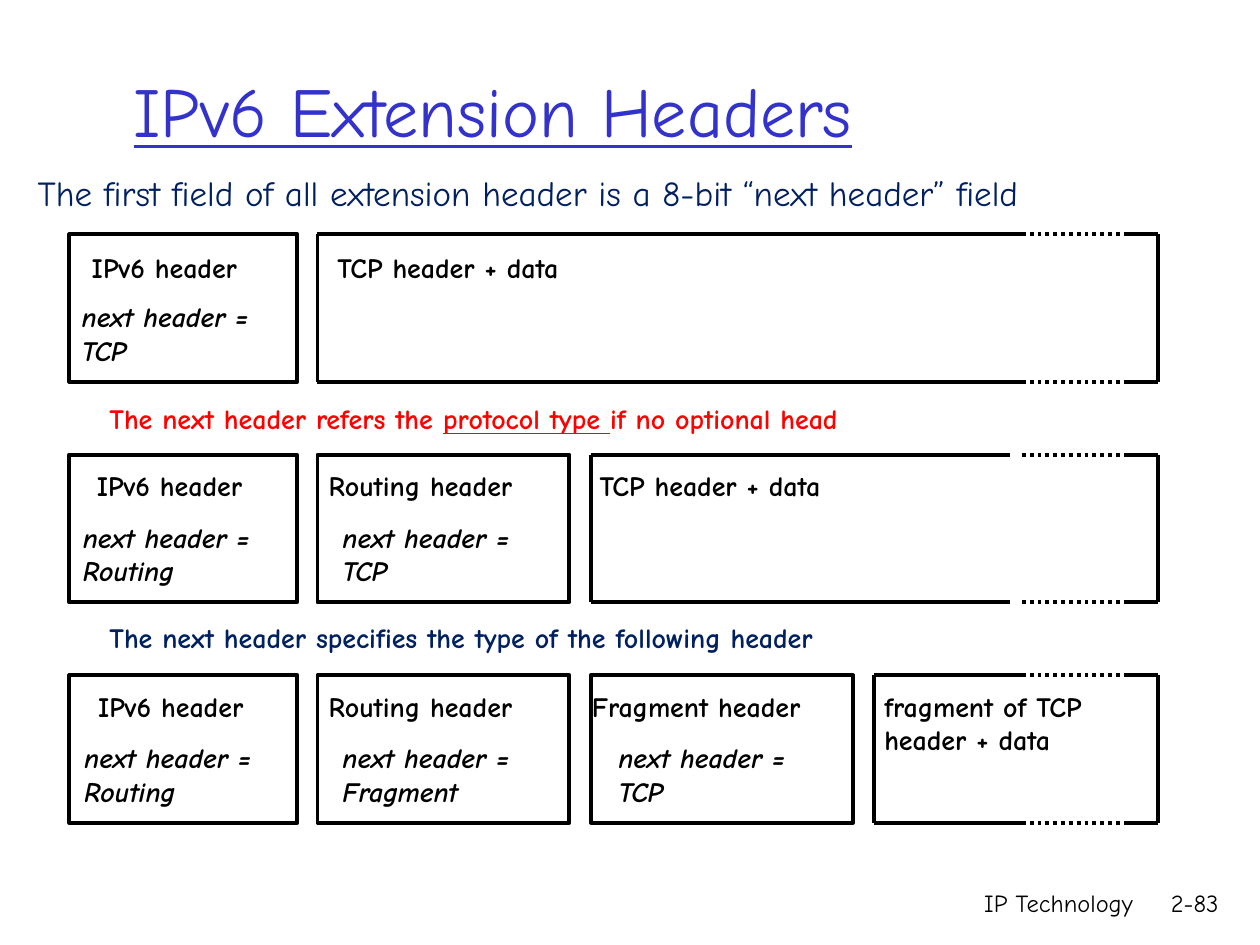
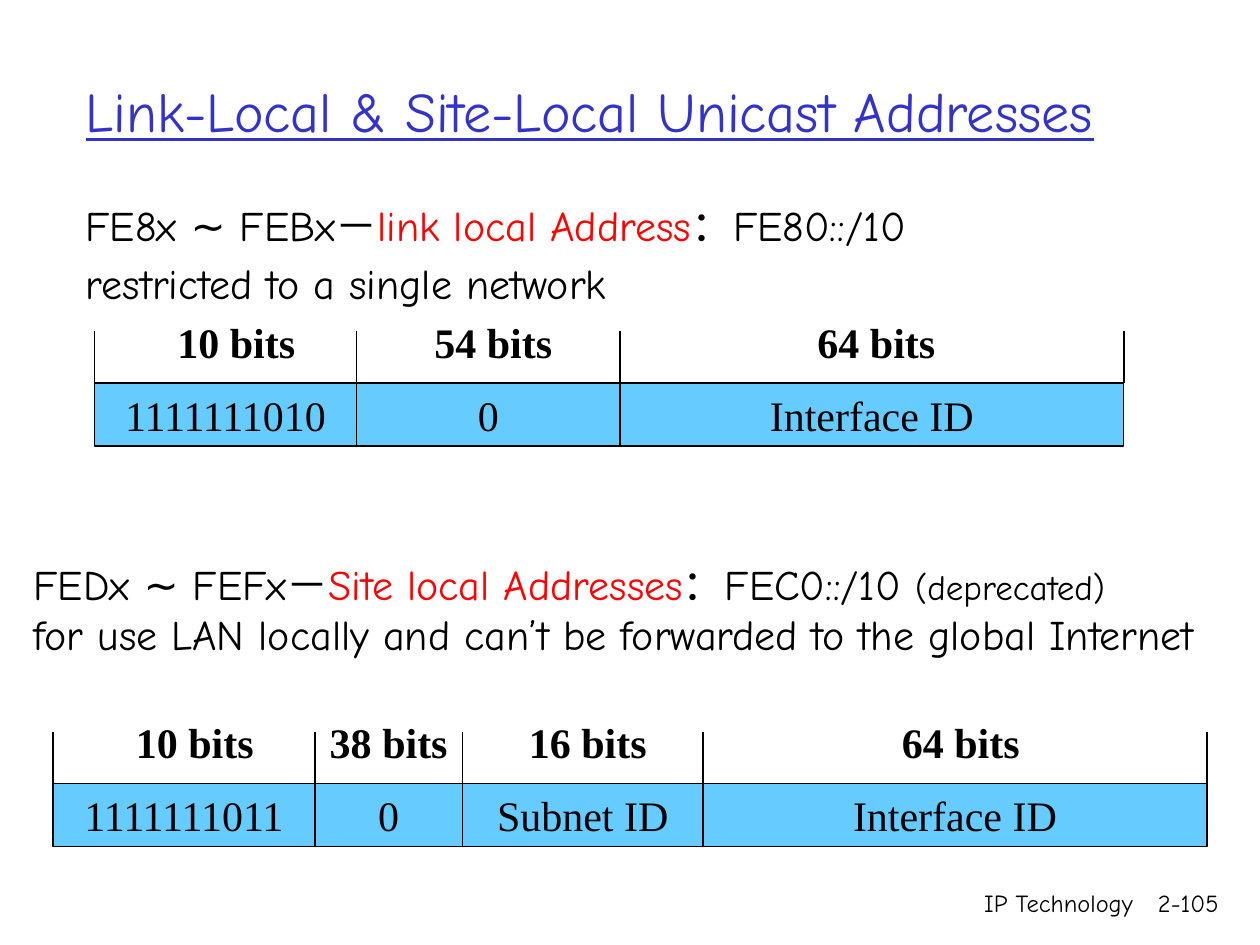
from itertools import accumulate

from lxml.etree import SubElement
from pptx import Presentation
from pptx.dml.color import RGBColor
from pptx.enum.dml import MSO_LINE
from pptx.enum.shapes import MSO_CONNECTOR, MSO_SHAPE
from pptx.enum.text import MSO_ANCHOR, MSO_AUTO_SIZE, PP_ALIGN
from pptx.oxml.ns import qn
from pptx.util import Inches, Pt

BLACK, RED, NAVY, TITLE_BLUE, FIELD_BLUE = "000000", "FF0000", "002060", "3333CC", "66CCFF"
COMIC = dict(name="Comic Neue", color=BLACK)
TIMES = dict(name="Times New Roman", size=24, color=BLACK)
TITLE = COMIC | dict(color=TITLE_BLUE, underline=True)
FOOTER = COMIC | dict(size=14)
LABEL = COMIC | dict(size=16, bold=True)
NEXT = LABEL | dict(italic=True)
ADDRESS = COMIC | dict(size=24)

EXT_TITLE = "IPv6 Extension Headers"
EXT_INTRO = "The first field of all extension header is a 8-bit “next header” field"
NOTES = [
    (3.14, RED, [("The next header refers the ", {}),
                 ("protocol type ", dict(underline=True)),
                 ("if no optional head", {})]),
    (4.88, NAVY, [("The next header specifies the type of the following header", {})]),
]
# Header columns: left, width
COLUMNS = [(0.55, 1.81), (2.52, 2.0), (4.69, 2.08)]
# Headers: name, name left, name width, next header, next header left
# Payload: text lines, text left, text width, box left, end of first solid part
PACKETS = [
    dict(top=1.86, label_dy=0.08,
         headers=[("IPv6 header", 0.63, 1.53, "TCP", 0.55)],
         payload=(["TCP header + data"], 2.58, 2.28, 2.52, 8.11)),
    dict(top=3.61, label_dy=0.06,
         headers=[("IPv6 header", 0.67, 1.53, "Routing", 0.56),
                  ("Routing header", 2.51, 1.83, "TCP", 2.62)],
         payload=(["TCP header + data"], 4.66, 2.28, 4.69, 8.02)),
    dict(top=5.36, label_dy=0.06,
         headers=[("IPv6 header", 0.68, 1.53, "Routing", 0.57),
                  ("Routing header", 2.51, 1.83, "Fragment", 2.62),
                  ("Fragment header", 4.6, 2.06, "TCP", 4.81)],
         payload=(["fragment of TCP", "header + data"], 6.92, 2.03, 6.94, 8.11)),
]
BOX_H, DOTS_FROM, DOTS_TO, PAYLOAD_END = 1.17, 8.11, 8.94, 9.19

LOCAL_TITLE = "Link-Local & Site-Local Unicast Addresses"
LINK_LOCAL = [
    [("FE8x ∼ FEBx－", {}), ("link local Address", dict(color=RED)), ("：FE80::/10", {})],
    [("restricted to a single network", {})],
]
SITE_LOCAL = [
    [("FEDx ∼ FEFx－", {}), ("Site local Addresses", dict(color=RED)),
     ("：FEC0::/10 ", {}), ("(deprecated)", dict(size=20))],
    [("for use LAN locally and can’t be forwarded to the global Internet", {})],
]
# Fields: bits, value, field width, bits left, bits width
ADDRESS_FORMATS = [
    dict(left=0.75, top=3.04, fields=[
        ("10 bits", "1111111010", 2.08, 1.25, 1.25),
        ("54 bits", "0", 2.09, 3.33, 1.17),
        ("64 bits", "Interface ID", 4.0, 6.08, 1.75)]),
    dict(left=0.42, top=6.22, fields=[
        ("10 bits", "1111111011", 2.08, 0.92, 1.25),
        ("38 bits", "0", 1.17, 2.5, 1.17),
        ("16 bits", "Subnet ID", 1.91, 4.08, 1.17),
        ("64 bits", "Interface ID", 4.0, 6.75, 1.75)]),
]
FIELD_H, TICK_H, BITS_DY = 0.5, 0.41, 0.58


def rgb(color):
    return RGBColor.from_string(color)


def set_font(font, fmt):
    for key, value in fmt.items():
        if key == "color":
            font.color.rgb = rgb(value)
        else:
            setattr(font, key, Pt(value) if key == "size" else value)


def write(tf, paragraphs, fmt, align=PP_ALIGN.LEFT):
    """Fill a frame; a paragraph is a string or a list of (text, format changes)."""
    for i, runs in enumerate(paragraphs):
        p = tf.add_paragraph() if i else tf.paragraphs[0]
        p.alignment = align
        for text, changes in [(runs, {})] if isinstance(runs, str) else runs:
            r = p.add_run()
            r.text = text
            set_font(r.font, fmt | changes)


def place(sp, box):
    sp.left, sp.top, sp.width, sp.height = map(Inches, box)


def add_text(s, box, paragraphs, fmt, align=PP_ALIGN.LEFT):
    tf = s.shapes.add_textbox(*map(Inches, box)).text_frame
    tf.word_wrap = True
    write(tf, paragraphs, fmt, align)


def add_rect(s, box, weight, fill=None):
    sp = s.shapes.add_shape(MSO_SHAPE.RECTANGLE, *map(Inches, box))
    sp.shadow.inherit = False
    if fill:
        sp.fill.solid()
        sp.fill.fore_color.rgb = rgb(fill)
    else:
        sp.fill.background()
    sp.line.color.rgb = rgb(BLACK)
    sp.line.width = Pt(weight)
    return sp


def add_line(s, start, end, weight, dash=None):
    line = s.shapes.add_connector(MSO_CONNECTOR.STRAIGHT, *map(Inches, start + end))
    line.line.color.rgb = rgb(BLACK)
    line.line.width = Pt(weight)
    if dash:
        line.line.dash_style = dash
    SubElement(line._element.spPr, qn("a:effectLst"))


def add_slide(prs, layout, title, title_box, title_size, number):
    s = prs.slides.add_slide(prs.slide_layouts[layout])
    place(s.shapes.title, title_box)
    tf = s.shapes.title.text_frame
    tf.auto_size = MSO_AUTO_SIZE.NONE
    tf.vertical_anchor = MSO_ANCHOR.MIDDLE
    write(tf, [title], TITLE | dict(size=title_size))
    add_text(s, (8.98, 7, 0.79, 0.5), [number], FOOTER, PP_ALIGN.RIGHT)
    add_text(s, (5.92, 7, 3.17, 0.5), ["IP Technology"], FOOTER, PP_ALIGN.RIGHT)
    return s


def add_payload(s, top, label_top, payload):
    """Draw a box whose upper and lower edges are partly dotted."""
    lines, text_left, text_w, left, solid_end = payload
    bottom = top + BOX_H
    for y in (top, bottom):
        add_line(s, (left, y), (solid_end, y), 2.25)
        add_line(s, (DOTS_FROM, y), (DOTS_TO, y), 2.25, MSO_LINE.ROUND_DOT)
        add_line(s, (DOTS_TO, y), (PAYLOAD_END, y), 2.25)
    for x in (left, PAYLOAD_END):
        add_line(s, (x, top), (x, bottom), 2.25)
    add_text(s, (text_left, label_top, text_w, 0.1 + 0.27 * len(lines)), lines, LABEL)


def add_packet(s, top, label_dy, headers, payload):
    label_top = top + label_dy
    for (left, width), header in zip(COLUMNS, headers):
        name, name_left, name_w, next_header, next_left = header
        add_rect(s, (left, top, width, BOX_H), 2.25)
        add_text(s, (name_left, label_top, name_w, 0.37), [name], LABEL)
        add_text(s, (next_left, top + 0.47, 1.76, 0.64),
                 ["next header =", next_header], NEXT)
    add_payload(s, top, label_top, payload)


def add_address_format(s, left, top, fields):
    edges = list(accumulate((f[2] for f in fields), initial=left))
    for x, (bits, value, width, bits_left, bits_w) in zip(edges, fields):
        tf = add_rect(s, (x, top, width, FIELD_H), 0.75, FIELD_BLUE).text_frame
        tf.word_wrap = False
        tf.vertical_anchor = MSO_ANCHOR.MIDDLE
        write(tf, [value], TIMES, PP_ALIGN.CENTER)
        add_text(s, (bits_left, top - BITS_DY, bits_w, 0.5), [bits],
                 TIMES | dict(bold=True), PP_ALIGN.CENTER)
    for x in edges:
        add_line(s, (x, top), (x, top - TICK_H), 0.75)


def add_link_local_body(s):
    body = s.placeholders[1]
    place(body, (0.58, 1.53, 8.5, 1.08))
    tf = body.text_frame
    tf.auto_size = MSO_AUTO_SIZE.NONE
    write(tf, LINK_LOCAL, ADDRESS, PP_ALIGN.JUSTIFY)
    for i, p in enumerate(tf.paragraphs):
        p.space_before = Pt(4.8 if i else 0)
        pPr = p._p.get_or_add_pPr()
        pPr.set("marL", str(Inches(0.38)))
        pPr.set("indent", str(Inches(-0.38)))
        SubElement(pPr, qn("a:buNone"))


def main():
    prs = Presentation()
    prs.slide_width, prs.slide_height = Inches(10), Inches(7.5)

    s = add_slide(prs, 5, EXT_TITLE, (0.96, 0.47, 7.99, 0.8), 40, "2-83")
    add_text(s, (0.2, 1.31, 9.44, 0.44), [EXT_INTRO], COMIC | dict(size=20, color=NAVY))
    for packet in PACKETS:
        add_packet(s, **packet)
    for top, color, runs in NOTES:
        add_text(s, (0.77, top, 8.27, 0.37), [runs], LABEL | dict(color=color))

    s = add_slide(prs, 1, LOCAL_TITLE, (0.58, 0.25, 9.11, 1.25), 32, "2-105")
    add_link_local_body(s)
    add_text(s, (0.17, 4.38, 9.53, 1.31), SITE_LOCAL, ADDRESS)
    for address_format in ADDRESS_FORMATS:
        add_address_format(s, **address_format)

    prs.save("out.pptx")


if __name__ == "__main__":
    main()
